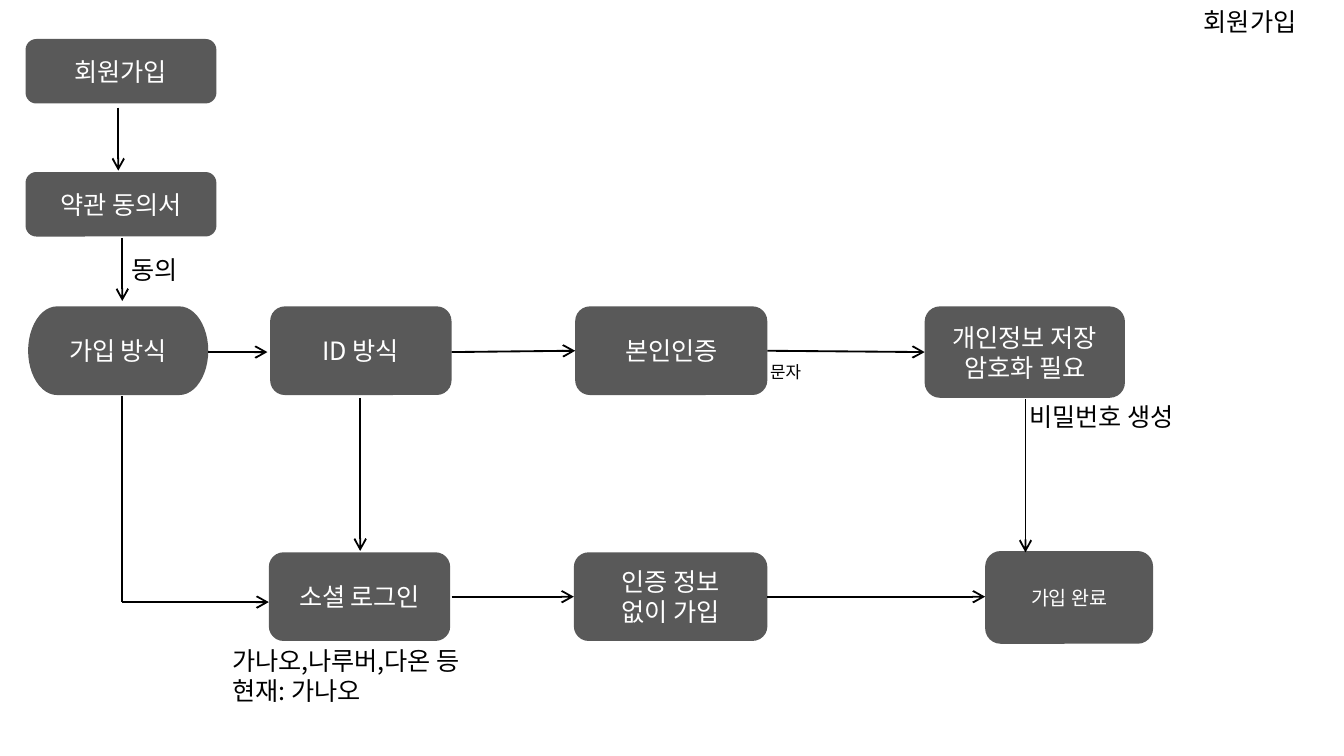
from dataclasses import dataclass

from lxml.etree import SubElement
from pptx import Presentation
from pptx.dml.color import RGBColor
from pptx.enum.shapes import MSO_CONNECTOR, MSO_SHAPE
from pptx.enum.text import MSO_ANCHOR, MSO_AUTO_SIZE, PP_ALIGN
from pptx.oxml.ns import qn
from pptx.slide import Slide
from pptx.text.text import TextFrame
from pptx.util import Inches, Pt

FONT = "Noto Sans CJK KR"
COLORS = {"step": "595959", "step_text": "FFFFFF", "ink": "000000"}
SLIDE_WIDTH = 10
SLIDE_HEIGHT = SLIDE_WIDTH * 9 / 16


@dataclass(frozen=True)
class Step:
    text: str
    left: float
    top: float
    width: float
    height: float
    size: float = 13.5
    outline: MSO_SHAPE = MSO_SHAPE.ROUNDED_RECTANGLE


@dataclass(frozen=True)
class Flow:
    x1: float
    y1: float
    x2: float
    y2: float
    arrow: bool = True


@dataclass(frozen=True)
class Note:
    text: str
    left: float
    top: float
    width: float
    height: float
    size: float = 13.5
    inset_x: float = 0.07
    inset_y: float = 0.04


STEPS = [
    Step("회원가입", 0.19, 0.29, 1.42, 0.48),
    Step("약관 동의서", 0.19, 1.28, 1.42, 0.48),
    Step("가입 방식", 0.21, 2.28, 1.34, 0.66, outline=MSO_SHAPE.FLOWCHART_TERMINATOR),
    Step("ID 방식", 2.01, 2.28, 1.35, 0.66),
    Step("본인인증", 4.28, 2.28, 1.43, 0.66),
    Step("개인정보 저장\n암호화 필요", 6.88, 2.28, 1.49, 0.68),
    Step("소셜 로그인", 2, 4.11, 1.35, 0.66),
    Step("인증 정보\n없이 가입", 4.27, 4.11, 1.44, 0.66),
    Step("가입 완료", 7.33, 4.1, 1.25, 0.69, size=10.5),
]

FLOWS = [
    Flow(0.88, 0.8, 0.88, 1.27),
    Flow(0.91, 1.77, 0.91, 2.24),
    Flow(1.55, 2.62, 1.99, 2.62),
    Flow(3.36, 2.62, 4.28, 2.61),
    Flow(5.71, 2.61, 6.88, 2.62),
    Flow(2.68, 2.96, 2.68, 4.1),
    Flow(7.63, 2.97, 7.63, 4.11),
    Flow(0.91, 2.95, 0.91, 4.48, arrow=False),
    Flow(0.91, 4.48, 2, 4.48),
    Flow(3.36, 4.44, 4.27, 4.44),
    Flow(5.71, 4.44, 7.33, 4.44),
]

NOTES = [
    Note("문자", 5.66, 2.65, 0.9, 0.23, size=9),
    Note("동의", 0.91, 1.85, 0.58, 0.3),
    Note("가나오,나루버,다온 등\n현재: 가나오", 1.66, 4.76, 1.96, 0.53),
    Note("비밀번호 생성", 7.56, 2.94, 1.38, 0.56, inset_x=0.1, inset_y=0.05),
    Note("회원가입", 8.86, 0, 1.04, 0.33, inset_x=0.1, inset_y=0.05),
]


def color(name: str) -> RGBColor:
    return RGBColor.from_string(COLORS[name])


def write(frame: TextFrame, text: str, size: float, ink: str, align: PP_ALIGN,
          inset_x: float = 0.07, inset_y: float = 0.04) -> None:
    frame.word_wrap = True
    frame.margin_left = frame.margin_right = Inches(inset_x)
    frame.margin_top = frame.margin_bottom = Inches(inset_y)
    frame.text = text
    for paragraph in frame.paragraphs:
        paragraph.alignment = align
        for run in paragraph.runs:
            run.font.size = Pt(size)
            run.font.color.rgb = color(ink)
            run.font.name = FONT
            SubElement(run.font._element, qn("a:ea"), typeface=FONT)


def draw_step(slide: Slide, step: Step) -> None:
    box = slide.shapes.add_shape(step.outline, Inches(step.left), Inches(step.top),
                                 Inches(step.width), Inches(step.height))
    box.shadow.inherit = False
    box.fill.solid()
    box.fill.fore_color.rgb = color("step")
    box.line.fill.background()
    box.text_frame.vertical_anchor = MSO_ANCHOR.MIDDLE
    write(box.text_frame, step.text, step.size, "step_text", PP_ALIGN.CENTER)


def draw_flow(slide: Slide, flow: Flow) -> None:
    connector = slide.shapes.add_connector(
        MSO_CONNECTOR.STRAIGHT, Inches(flow.x1), Inches(flow.y1),
        Inches(flow.x2), Inches(flow.y2))
    connector.line.color.rgb = color("ink")
    connector.line.width = Pt(1)
    if flow.arrow:
        SubElement(connector.line._get_or_add_ln(), qn("a:tailEnd"), type="arrow")
    SubElement(connector._element.spPr, qn("a:effectLst"))


def draw_note(slide: Slide, note: Note) -> None:
    label = slide.shapes.add_textbox(Inches(note.left), Inches(note.top),
                                     Inches(note.width), Inches(note.height))
    label.text_frame.auto_size = MSO_AUTO_SIZE.SHAPE_TO_FIT_TEXT
    write(label.text_frame, note.text, note.size, "ink", PP_ALIGN.LEFT,
          note.inset_x, note.inset_y)


def main() -> None:
    presentation = Presentation()
    presentation.slide_width = Inches(SLIDE_WIDTH)
    presentation.slide_height = Inches(SLIDE_HEIGHT)
    slide = presentation.slides.add_slide(presentation.slide_layouts[6])
    for step in STEPS:
        draw_step(slide, step)
    for flow in FLOWS:
        draw_flow(slide, flow)
    for note in NOTES:
        draw_note(slide, note)
    presentation.save("out.pptx")


if __name__ == "__main__":
    main()
